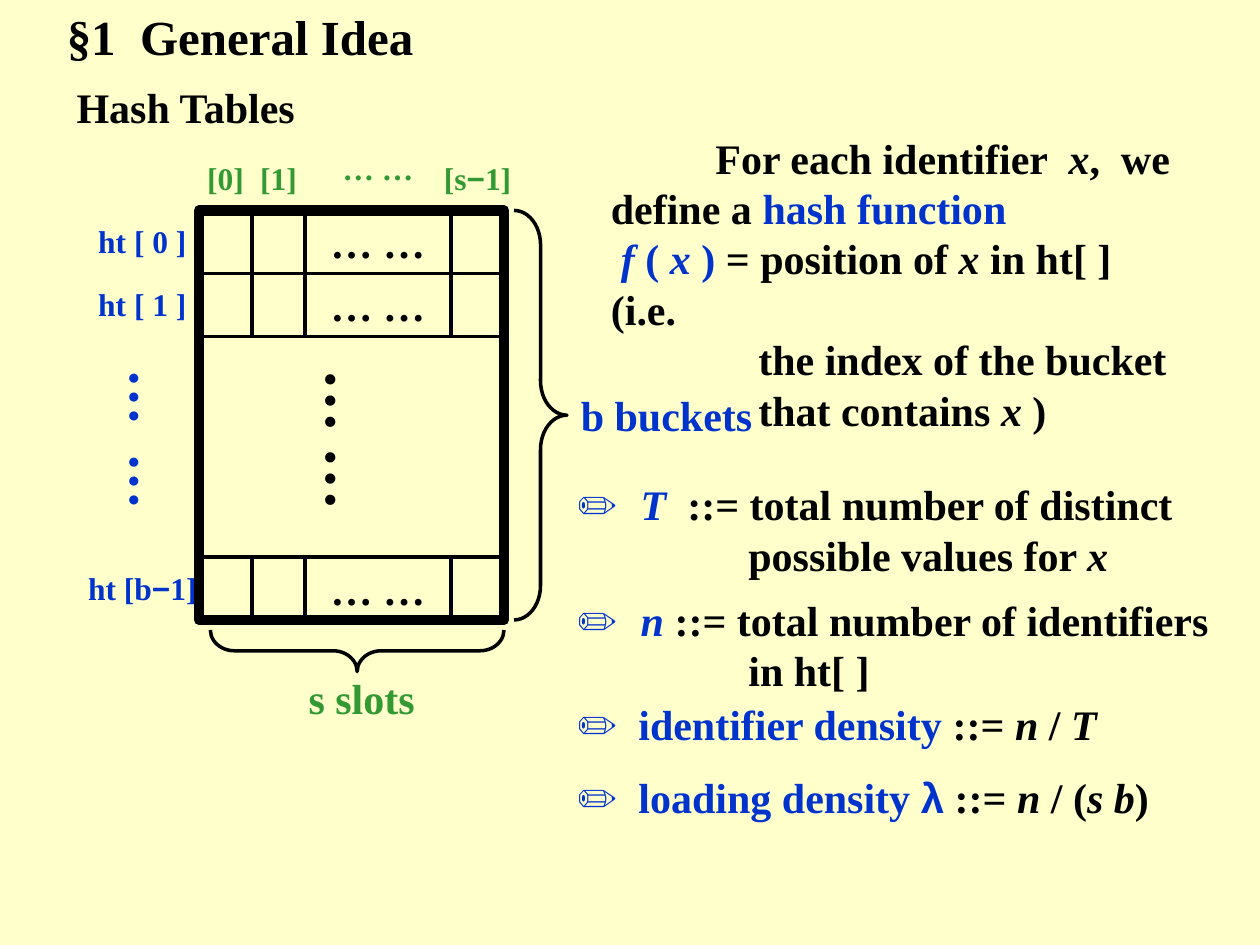
"""Build the hash table slide: bucket grid, hash function and density definitions."""
from dataclasses import dataclass

from lxml.etree import SubElement
from pptx import Presentation
from pptx.dml.color import RGBColor
from pptx.enum.shapes import MSO_SHAPE
from pptx.enum.text import MSO_ANCHOR, MSO_AUTO_SIZE, PP_ALIGN
from pptx.oxml.ns import qn
from pptx.util import Inches, Pt


@dataclass(frozen=True)
class Theme:
    background: RGBColor = RGBColor(0xFF, 0xFF, 0xCC)
    ink: RGBColor = RGBColor(0, 0, 0)
    blue: RGBColor = RGBColor(0x00, 0x33, 0xCC)
    green: RGBColor = RGBColor(0x33, 0x99, 0x33)
    serif: str = "Times New Roman"
    sans: str = "Arial"
    title: int = 28
    body: int = 24
    label: int = 18
    side_dots: int = 32
    frame_dots: int = 36
    thin: int = 2
    thick: int = 6


THEME = Theme()
ITALIC = {"italic": True}
BLUE = {"color": THEME.blue}
BLUE_ITALIC = BLUE | ITALIC
SANS = {"font": THEME.sans}
PENCIL = BLUE | SANS

TITLE = "§1  General Idea"
SUBTITLE = "Hash Tables"
DOTS = "… …"
SLOTS = [["[0]"], ["[1]"], [DOTS], ["[s", ("−", SANS), "1]"]]
BUCKETS = [["ht [ 0 ]"], ["ht [ 1 ]"], ["ht [b", ("−", SANS), "1]"]]
SIDE_DOTS = "…  …"
BUCKET_COUNT = "b buckets"
SLOT_COUNT = "s slots"
HASH_FUNCTION = [
    (["For each identifier  ", ("x", ITALIC), ",  we define a ", ("hash function", BLUE)],
     {"indent": 0.83}),
    ([("f", BLUE_ITALIC), (" ( ", BLUE), ("x", BLUE_ITALIC), (" )", BLUE),
      " = position of ", ("x", ITALIC), " in ht[ ] (i.e."], {"indent": 0.08}),
    (["the index of the bucket"], {"margin": 1.17}),
    (["that contains ", ("x", ITALIC), " )"], {"margin": 1.17}),
]
DEFINITIONS = [
    (0, [("✏  ", PENCIL), ("T", BLUE_ITALIC),
         "  ::= total number of distinct possible values for ", ("x", ITALIC)]),
    (8.5, [("✏  ", PENCIL), ("n", BLUE_ITALIC),
           " ::= total number of identifiers in ht[ ]"]),
    (2, [("✏", PENCIL), ("  identifier density", BLUE), " ::= ", ("n ", ITALIC),
         "/ ", ("T", ITALIC)]),
    (13, [("✏", PENCIL), ("  loading density ", BLUE), ("λ", PENCIL), " ::= ",
          ("n ", ITALIC), "/ (", ("s b", ITALIC), ")"]),
]

COLUMN_EDGES = [1.58, 2, 2.42, 3.58, 4]
ROW_TOPS = [1.67, 2.17, 4.42]
ROW_HEIGHT = 0.5
LABEL_HEIGHT = 0.33
LEFT, RIGHT, TOP = COLUMN_EDGES[0], COLUMN_EDGES[-1], ROW_TOPS[0]
BOTTOM = ROW_TOPS[-1] + ROW_HEIGHT
DOTS_TOP, DOTS_HEIGHT = 2.83, 1.5
HANG = 1.36


def write(shape, paragraphs, size=THEME.body, color=THEME.ink, align=PP_ALIGN.LEFT,
          anchor=MSO_ANCHOR.TOP, wrap=True, insets=(0.1, 0.05), vertical=False):
    """Fill a shape with (runs, layout) paragraphs; a run is text or (text, style)."""
    frame = shape.text_frame
    frame.auto_size = MSO_AUTO_SIZE.NONE
    frame.word_wrap, frame.vertical_anchor = wrap, anchor
    frame.margin_left = frame.margin_right = Inches(insets[0])
    frame.margin_top = frame.margin_bottom = Inches(insets[1])
    if vertical:
        frame._txBody.find(qn("a:bodyPr")).set("vert", "eaVert")
    for index, (runs, layout) in enumerate(paragraphs):
        paragraph = frame.add_paragraph() if index else frame.paragraphs[0]
        paragraph.alignment = align
        paragraph.space_before = Pt(layout.get("before", 0))
        properties = paragraph._p.get_or_add_pPr()
        properties.set("marL", str(Inches(layout.get("margin", 0))))
        properties.set("indent", str(Inches(layout.get("indent", 0))))
        SubElement(properties, qn("a:buNone"))
        for part in runs:
            text, style = (part, {}) if isinstance(part, str) else part
            run = paragraph.add_run()
            run.text = text
            run.font.size, run.font.bold = Pt(size), True
            run.font.italic = style.get("italic", False)
            run.font.name = style.get("font", THEME.serif)
            run.font.color.rgb = style.get("color", color)


def place(shape, *box):
    shape.left, shape.top, shape.width, shape.height = map(Inches, box)
    return shape


def add_text(slide, box, paragraphs, **text_format):
    write(slide.shapes.add_textbox(*map(Inches, box)), paragraphs, **text_format)


def add_label(slide, box, runs, wrap=False, **text_format):
    add_text(slide, box, [(runs, {})], align=PP_ALIGN.CENTER,
             anchor=MSO_ANCHOR.MIDDLE, wrap=wrap, **text_format)


def add_outline(slide, kind, box, width=THEME.thin):
    shape = slide.shapes.add_shape(kind, *map(Inches, box))
    shape.shadow.inherit = False
    shape.fill.background()
    shape.line.color.rgb = THEME.ink
    shape.line.width = Pt(width)
    return shape


def draw_buckets(slide):
    columns = list(zip(COLUMN_EDGES, COLUMN_EDGES[1:], SLOTS))
    for left, right, slot in columns:
        top = 1.17 if slot == [DOTS] else 1.25
        add_label(slide, (left, top, right - left, LABEL_HEIGHT), slot,
                  size=THEME.label, color=THEME.green)
    for top, bucket in zip(ROW_TOPS, BUCKETS):
        for left, right, slot in columns:
            cell = add_outline(slide, MSO_SHAPE.RECTANGLE,
                               (left, top, right - left, ROW_HEIGHT))
            if slot == [DOTS]:
                write(cell, [([DOTS], {})], align=PP_ALIGN.CENTER,
                      anchor=MSO_ANCHOR.MIDDLE, wrap=False)
        add_label(slide, (0.67, top + 0.08, 0.92, LABEL_HEIGHT), bucket,
                  size=THEME.label, color=THEME.blue)
    add_outline(slide, MSO_SHAPE.RECTANGLE,
                (LEFT, TOP, RIGHT - LEFT, BOTTOM - TOP), THEME.thick)
    for left, width, dots, size, color in [
        (LEFT, RIGHT - LEFT, DOTS, THEME.frame_dots, THEME.ink),
        (1, 0.42, SIDE_DOTS, THEME.side_dots, THEME.blue),
    ]:
        add_label(slide, (left, DOTS_TOP, width, DOTS_HEIGHT), [dots], wrap=True,
                  size=size, color=color, insets=(0.05, 0.1), vertical=True)


def draw_braces(slide):
    bucket_brace = add_outline(slide, MSO_SHAPE.RIGHT_BRACE,
                               (4.08, TOP, 0.42, BOTTOM - TOP))
    bucket_brace.adjustments[0] = 0.65
    add_label(slide, (4.5, 3, 1.58, 0.58), [BUCKET_COUNT], color=THEME.blue)
    slot_brace = add_outline(slide, MSO_SHAPE.LEFT_BRACE, (2.67, 4, 0.33, 2.33))
    slot_brace.rotation = 270
    slot_brace.adjustments[0] = 0.58
    add_label(slide, (2.08, 5.33, 1.58, 0.42), [SLOT_COUNT], color=THEME.green)


def main():
    deck = Presentation()
    deck.slide_width, deck.slide_height = Inches(10), Inches(7.5)
    slide = deck.slides.add_slide(deck.slide_layouts[1])
    slide.background.fill.solid()
    slide.background.fill.fore_color.rgb = THEME.background

    write(place(slide.shapes.title, 0.43, 0, 3.67, 0.57), [([TITLE], {})],
          size=THEME.title)
    add_text(slide, (0.51, 0.6, 3.33, 0.5), [([SUBTITLE], {})])
    draw_buckets(slide)
    draw_braces(slide)
    add_text(slide, (4.75, 1, 4.75, 2.5), HASH_FUNCTION)
    definitions = [(runs, {"before": before, "margin": HANG, "indent": -HANG})
                   for before, runs in DEFINITIONS]
    write(place(slide.placeholders[1], 4.58, 3.75, 5.08, 2.83), definitions,
          insets=(0, 0.05))
    deck.save("out.pptx")


if __name__ == "__main__":
    main()
